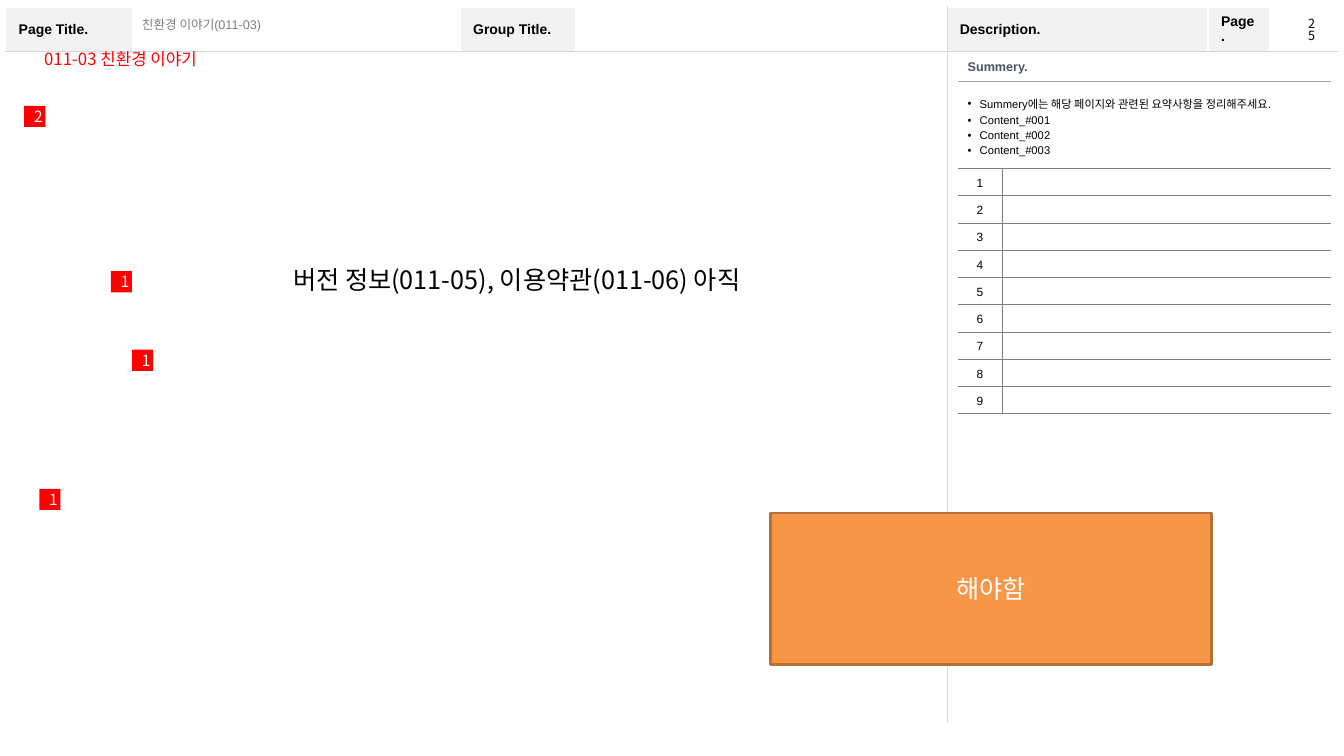
from pptx import Presentation
from pptx import util as u
from pptx.dml.color import RGBColor
from pptx.enum import shapes, text
from pptx.oxml.ns import qn
from lxml import etree

Pt = u.Pt
AL, MID = text.PP_ALIGN, text.MSO_ANCHOR.MIDDLE
SANS, KOR = "Arial", "Noto Sans CJK KR"
HEX = {
    "black": "000000", "white": "FFFFFF", "red": "FF0000", "gray": "808080",
    "pale": "F2F2F2", "rule": "D9D9D9", "mid": "A6A6A6", "slate": "4E5263",
    "gold": "F79646", "brown": "B76F34",
}
PLAIN = "{2D5ABB26-0587-4C30-8999-92F81FD0307C}"


def rgb(name):
    return RGBColor.from_string(HEX[name])


def write(frame, words, size=10, font=SANS, color="black", bold=False,
          align=None, lead=None, bullet=False):
    """Fill a text frame, one paragraph for each line of words."""
    for i, line in enumerate(words.split("\n")):
        para = frame.paragraphs[0] if i == 0 else frame.add_paragraph()
        para.alignment = align
        if lead:
            para.line_spacing = lead
        if bullet:
            props = para._p.get_or_add_pPr()
            props.set("marL", str(Pt(8.6)))
            props.set("indent", str(-Pt(8.6)))
            etree.SubElement(props, qn("a:buFont"), typeface=SANS)
            etree.SubElement(props, qn("a:buChar"), char="•")
        if not line:
            end = para._p.get_or_add_endParaRPr()
            end.set("sz", str(int(size * 100)))
            continue
        run = para.add_run()
        run.text = line
        run.font.size, run.font.bold, run.font.name = Pt(size), bold, font
        run.font.color.rgb = rgb(color)
        etree.SubElement(run._r.get_or_add_rPr(), qn("a:ea"), typeface=KOR)


def label(slide, box, words, wrap=True, anchor=None, **form):
    frame = slide.shapes.add_textbox(*map(Pt, box)).text_frame
    frame.word_wrap = wrap
    if anchor is not None:
        frame.vertical_anchor = anchor
    write(frame, words, **form)


def block(slide, box, words, fill, line=None, **form):
    rect = slide.shapes.add_shape(shapes.MSO_SHAPE.RECTANGLE, *map(Pt, box))
    rect.shadow.inherit = False
    rect.fill.solid()
    rect.fill.fore_color.rgb = rgb(fill)
    if line:
        rect.line.color.rgb, rect.line.width = rgb(line), Pt(2)
    else:
        rect.line.fill.background()
    rect.text_frame.word_wrap = True
    rect.text_frame.vertical_anchor = MID
    write(rect.text_frame, words, font=KOR, color="white", align=AL.CENTER,
          **form)


def edge(cell, **sides):
    """Draw cell borders; a side that is not named has no line."""
    props = cell._tc.get_or_add_tcPr()
    for side in "LRTB":
        color = sides.get(side)
        width = 1 if color == "white" else 0.25
        line = etree.SubElement(props, qn("a:ln" + side), w=str(Pt(width)))
        if color:
            fill = etree.SubElement(line, qn("a:solidFill"))
            etree.SubElement(fill, qn("a:srgbClr"), val=HEX[color])
        else:
            etree.SubElement(line, qn("a:noFill"))


def paint(cell, fill=None):
    if fill:
        cell.fill.solid()
        cell.fill.fore_color.rgb = rgb(fill)
    else:
        cell.fill.background()


def grid(slide, left, top, cols, rows):
    table = slide.shapes.add_table(
        len(rows), len(cols), Pt(left), Pt(top), Pt(sum(cols)),
        Pt(sum(rows))).table
    table.first_row = table.horz_banding = False
    table._tbl.tblPr.find(qn("a:tableStyleId")).text = PLAIN
    for col, width in zip(table.columns, cols):
        col.width = Pt(width)
    for row, height in zip(table.rows, rows):
        row.height = Pt(height)
    for cell in table.iter_cells():
        cell.vertical_anchor = MID
    return table


def layout(slide):
    """Page frame: title bar above, work area and notes area below."""
    table = grid(slide, 4, 5, [90.6, 234, 82.6, 265.1, 186.6, 43.7, 49.1],
                 [31.9, 480.2])
    heads = ["Page Title.", "", "Group Title.", "", "Description.", "Page.", ""]
    for i, head in enumerate(heads):
        cell = table.cell(0, i)
        cell.margin_left = cell.margin_right = Pt(9.4)
        cell.margin_top = cell.margin_bottom = Pt(4)
        write(cell.text_frame, head, bold=True)
        edge(cell, L="rule" if i == 4 else "white",
             R="rule" if i == 3 else "white", T="white", B="rule")
        paint(cell, "pale" if head else None)
    table.cell(1, 0).merge(table.cell(1, 3))
    table.cell(1, 4).merge(table.cell(1, 6))
    for i in range(len(heads)):
        cell = table.cell(1, i)
        write(cell.text_frame, "")
        edge(cell, L="rule" if i == 4 else "white",
             R="rule" if i in (0, 3) else "white", T="rule", B="white")
        paint(cell)


def summary(slide):
    """Summary list and the numbered rows under it."""
    count = 9
    table = grid(slide, 684, 37.3, [31.9, 234.7], [20.9, 62] + [19.45] * count)
    points = "\n".join(
        ["Summery에는 해당 페이지와 관련된 요약사항을 정리해주세요."]
        + [f"Content_#{n:03}" for n in range(1, 4)])
    for row in (0, 1):
        table.cell(row, 0).merge(table.cell(row, 1))
        write(table.cell(row, 1).text_frame, "", size=8)
    write(table.cell(0, 0).text_frame, "Summery.", size=9, color="slate",
          bold=True)
    write(table.cell(1, 0).text_frame, points, size=8, align=AL.JUSTIFY,
          lead=1.2, bullet=True)
    for col in (0, 1):
        edge(table.cell(0, col), B="mid")
        paint(table.cell(0, col), "white")
        edge(table.cell(1, col), T="mid", B="gray")
        paint(table.cell(1, col))
    for n in range(1, count + 1):
        key, note = table.cell(n + 1, 0), table.cell(n + 1, 1)
        write(key.text_frame, str(n), size=8.5, align=AL.CENTER, lead=1.2)
        write(note.text_frame, "", size=8.5)
        edge(key, R="gray", T="gray", B="gray")
        edge(note, L="gray", T="gray", B="gray")
        paint(key)
        paint(note)


def main():
    deck = Presentation()
    deck.slide_width, deck.slide_height = Pt(960), Pt(540)
    slide = deck.slides.add_slide(deck.slide_layouts[6])

    # Frame, title and notes
    layout(slide)
    label(slide, (94.3, 8.6, 233.3, 17.3), "친환경 이야기(011-03)", size=9,
          color="gray", anchor=MID)
    summary(slide)
    label(slide, (927.4, 9.6, 19.4, 18), "25", size=9, font=KOR, lead=0.82)
    label(slide, (24.5, 31, 170, 21.6), "011-03 친환경 이야기", size=12,
          font=KOR, color="red")

    # Number marks
    marks = [("1", 94.3, 249.8), ("2", 17.3, 75.6), ("1", 28.1, 349.2),
             ("1", 79.2, 193.7)]
    for num, left, top in marks:
        block(slide, (left, top, 15.1, 15.1), num, "red", size=11)

    # Messages
    label(slide, (202.3, 185, 357.1, 28.8),
          "버전 정보(011-05), 이용약관(011-06) 아직", size=18, font=KOR)
    block(slide, (550.1, 366.5, 315.4, 108), "해야함", "gold", line="brown",
          size=18)
    deck.save("out.pptx")


if __name__ == "__main__":
    main()
